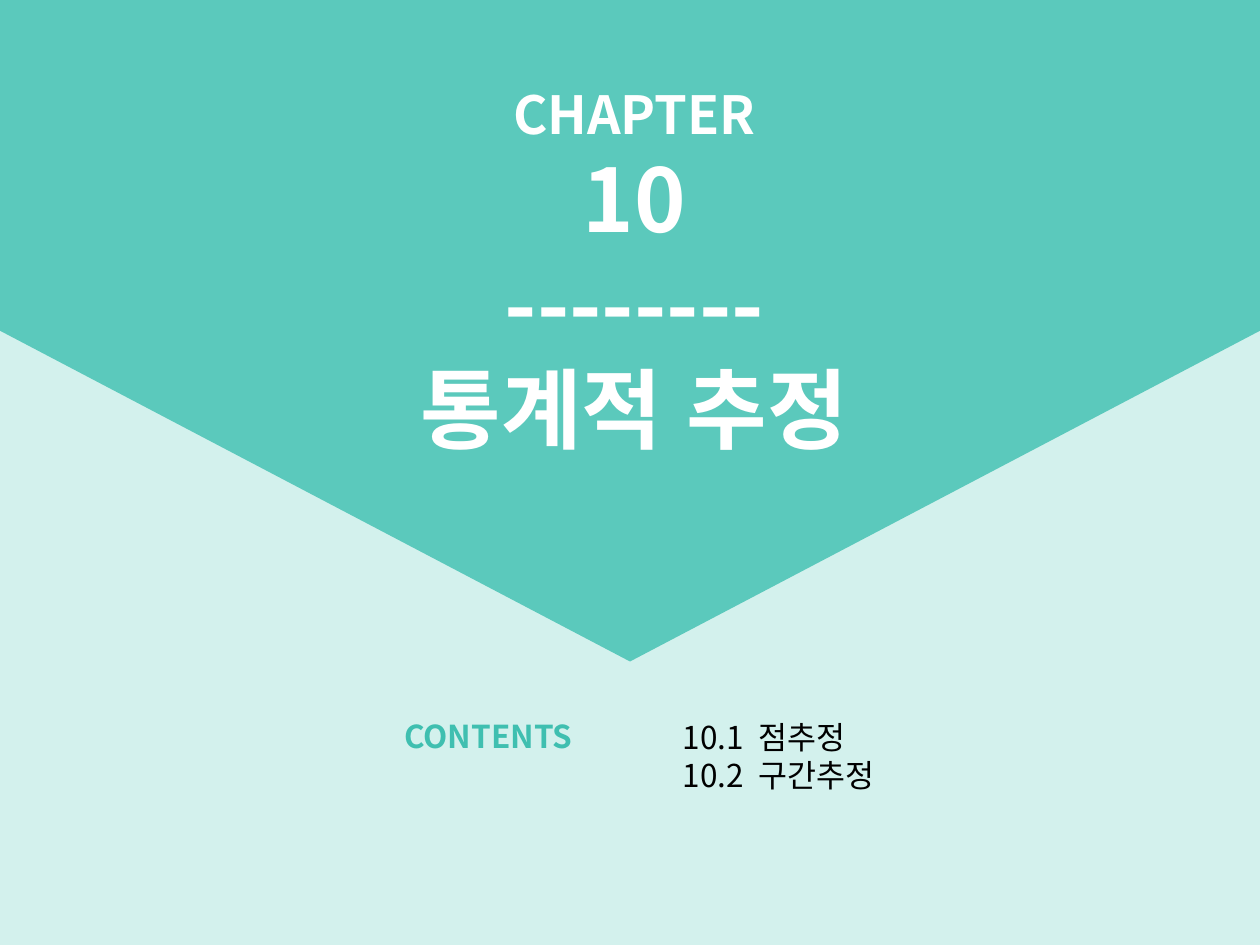
from dataclasses import dataclass

from lxml import etree
from pptx import Presentation
from pptx import util as u
from pptx.dml.color import RGBColor
from pptx.enum import shapes, text
from pptx.oxml import ns

WIDTH, HEIGHT = u.Inches(10), u.Inches(7.5)
FONT = "Noto Sans CJK KR"
WHITE, BLACK = "FFFFFF", "000000"
PALE, TEAL, DEEP_TEAL = "D3F1ED", "5BC9BC", "3FBFB0"
LINE_RATIO = 1.2


@dataclass(frozen=True)
class Area:
    left: float
    top: float
    width: float
    height: float

    def box(self) -> tuple[int, int, int, int]:
        return (int(self.left * WIDTH), int(self.top * HEIGHT),
                int(self.width * WIDTH), int(self.height * HEIGHT))


@dataclass(frozen=True)
class Line:
    words: str
    size: int


CHAPTER = [Line("CHAPTER", 30), Line("10", 50), Line("--------", 50), Line("통계적 추정", 50)]
SECTIONS = [Line("10.1 점추정", 18), Line("10.2 구간추정", 18)]
CONTENTS = [Line("CONTENTS", 18)]


def colour(value: str) -> RGBColor:
    return RGBColor.from_string(value)


def add_panel(slide, kind, box: tuple[int, int, int, int], fill: str, rotation: int = 0) -> None:
    panel = slide.shapes.add_shape(kind, *box)
    panel.rotation = rotation
    panel.shadow.inherit = False
    panel.fill.solid()
    panel.fill.fore_color.rgb = colour(fill)
    panel.line.fill.background()


def write(holder, lines: list[Line], area: Area, *, ink: str, bold: bool = False,
          align=text.PP_ALIGN.LEFT, gap: float = 0) -> None:
    holder.left, holder.top, holder.width, holder.height = area.box()
    frame = holder.text_frame
    frame.word_wrap = True
    frame.auto_size = text.MSO_AUTO_SIZE.NONE
    frame.vertical_anchor = text.MSO_ANCHOR.TOP
    for index, line in enumerate(lines):
        paragraph = frame.paragraphs[0] if index == 0 else frame.add_paragraph()
        paragraph.alignment = align
        paragraph.line_spacing = u.Pt(line.size * LINE_RATIO)
        paragraph.space_before = paragraph.space_after = u.Pt(0)
        for part in filter(None, line.words.partition(" ")):
            run = paragraph.add_run()
            run.text = part
            run.font.name, run.font.size, run.font.bold = FONT, u.Pt(line.size), bold
            run.font.color.rgb = colour(ink)
            east_asian = etree.SubElement(run.font._element, ns.qn("a:ea"))
            east_asian.set("typeface", FONT)
            if part == " ":
                run.font._element.set("spc", str(int(gap * 100)))
        properties = paragraph._p.get_or_add_pPr()
        properties.set("marL", "0")
        properties.set("indent", "0")
        etree.SubElement(properties, ns.qn("a:buNone"))


def bring_to_front(holder) -> None:
    holder.element.getparent().append(holder.element)


def main() -> None:
    deck = Presentation()
    deck.slide_width, deck.slide_height = WIDTH, HEIGHT
    slide = deck.slides.add_slide(deck.slide_layouts[1])
    title, body = slide.placeholders[0], slide.placeholders[1]

    add_panel(slide, shapes.MSO_SHAPE.RECTANGLE, Area(0, 0, 1, 1).box(), PALE)
    depth = int(0.7 * HEIGHT)
    inset = (WIDTH - depth) // 2
    add_panel(slide, shapes.MSO_SHAPE.PENTAGON, (inset, -inset, depth, WIDTH), TEAL, rotation=90)

    bring_to_front(title)
    write(title, CHAPTER, Area(0.295, 0.08, 0.417, 0.417), ink=WHITE, bold=True,
          align=text.PP_ALIGN.CENTER, gap=2.5)
    bring_to_front(body)
    write(body, SECTIONS, Area(0.532, 0.753, 0.331, 0.095), ink=BLACK, gap=4)
    contents_area = Area(0.311, 0.752, 0.173, 0.053)
    contents = slide.shapes.add_textbox(*contents_area.box())
    write(contents, CONTENTS, contents_area, ink=DEEP_TEAL, bold=True)

    deck.save("out.pptx")


if __name__ == "__main__":
    main()
